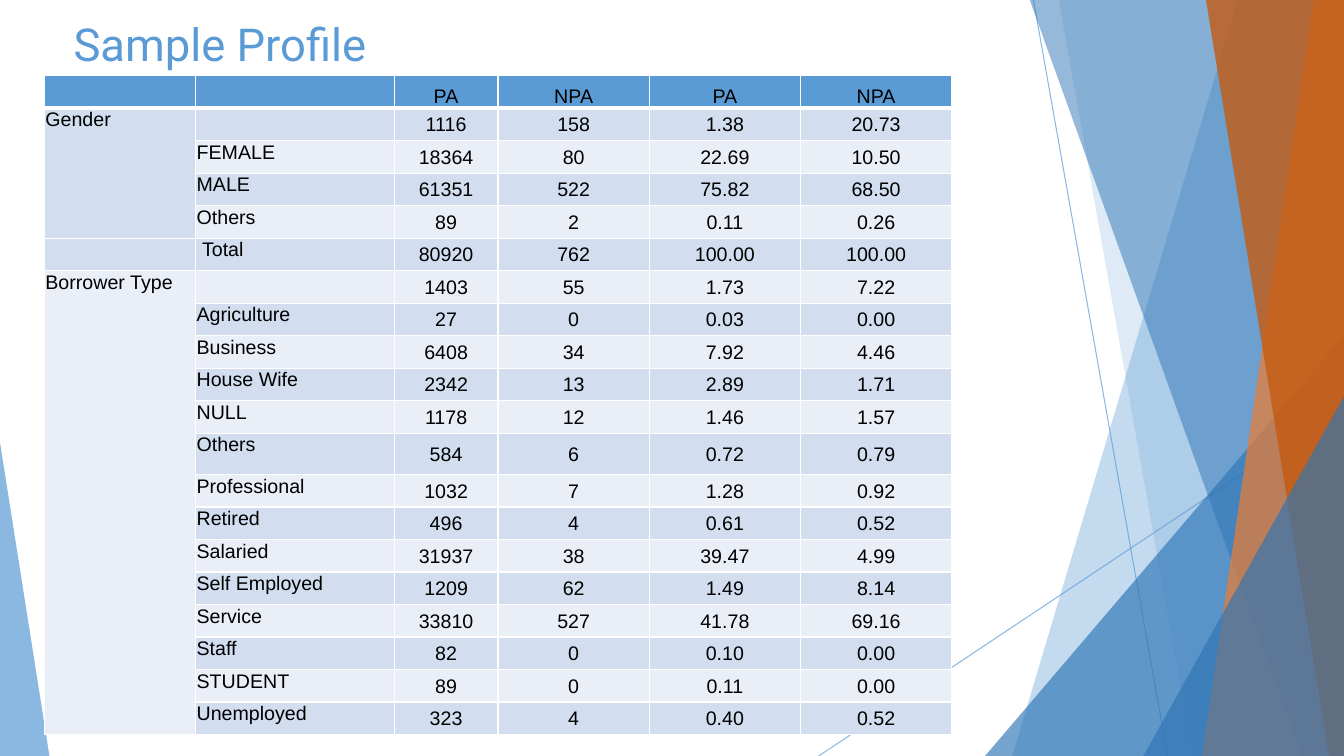
"""Build the Sample Profile slide: a borrower table beside a faceted backdrop."""
from lxml.etree import SubElement
from pptx import Presentation
from pptx.dml.color import RGBColor
from pptx.enum.shapes import MSO_CONNECTOR, MSO_SHAPE
from pptx.enum.text import MSO_ANCHOR, PP_ALIGN
from pptx.oxml.ns import qn
from pptx.util import Inches, Pt

TITLE = "Sample Profile"
HEADER = ("", "PA", "NPA", "PA", "NPA")
GROUPS = [
    ("Gender", [
        ("", "1116", "158", "1.38", "20.73"),
        ("FEMALE", "18364", "80", "22.69", "10.50"),
        ("MALE", "61351", "522", "75.82", "68.50"),
        ("Others", "89", "2", "0.11", "0.26")]),
    ("", [("\u00a0Total", "80920", "762", "100.00", "100.00")]),
    ("Borrower Type", [
        ("", "1403", "55", "1.73", "7.22"),
        ("Agriculture", "27", "0", "0.03", "0.00"),
        ("Business", "6408", "34", "7.92", "4.46"),
        ("House Wife", "2342", "13", "2.89", "1.71"),
        ("NULL", "1178", "12", "1.46", "1.57"),
        ("Others", "584", "6", "0.72", "0.79"),
        ("Professional", "1032", "7", "1.28", "0.92"),
        ("Retired", "496", "4", "0.61", "0.52"),
        ("Salaried", "31937", "38", "39.47", "4.99"),
        ("Self Employed", "1209", "62", "1.49", "8.14"),
        ("Service", "33810", "527", "41.78", "69.16"),
        ("Staff", "82", "0", "0.10", "0.00"),
        ("STUDENT", "89", "0", "0.11", "0.00"),
        ("Unemployed", "323", "4", "0.40", "0.52")]),
]
COLORS = {"blue": "5B9BD5", "deep": "2E75B6", "orange": "ED7D31", "rust": "C55A11",
          "band": "D2DEEF", "pale": "EAEFF7", "white": "FFFFFF", "black": "000000"}

W, H, TOP = 13.33, 7.5, -0.01
LINES = [((10.25, 0), (11.58, H)), ((W, 4.03), (8.12, H))]
FACETS = [
    ("quad", 12.28, 10.04, "blue", 36),
    ("quad", 10.5, 11.83, "blue", 20),
    ("triangle", (9.77, 3.33, 3.56, 4.17), 1, "deep", 66),
    ("quad", 10.21, 12.91, "deep", 50),
    ("quad", 13.03, 11.92, "orange", 70),
    ("quad", 11.96, 13.18, "rust", 80),
    ("triangle", (11.34, 3.93, 1.99, 3.57), 1, "deep", 66),
    ("triangle", (0, 4.39, 0.49, 3.11), 0, "blue", 70),
]
COLS = (1.5, 1.97, 1.03, 1.5, 1.5, 1.5)
TABLE_LEFT, TABLE_TOP, TABLE_H = 0.44, 0.75, 6.54
TALL_ROW, TALL_H = 11, 0.41
MARGINS = {"margin_left": 0.01, "margin_top": 0.01, "margin_right": 0.01, "margin_bottom": 0}


def rgb(name):
    return RGBColor.from_string(COLORS[name])


def fade(sp, alpha):
    for clr in sp.element.spPr.iter(qn("a:srgbClr")):
        SubElement(clr, qn("a:alpha"), val=str(alpha * 1000))


def add_line(s, start, end):
    ln = s.shapes.add_connector(MSO_CONNECTOR.STRAIGHT, *map(Inches, start + end))
    ln.line.color.rgb = rgb("blue")
    ln.line.width = Pt(0.75)
    SubElement(ln.element.spPr, qn("a:effectLst"))
    fade(ln, 70)


def add_facet(s, kind, place, foot, color, alpha):
    if kind == "quad":
        pts = [(Inches(x), Inches(y)) for x, y in
               ((place, TOP), (W, TOP), (W, H), (foot, H))]
        fb = s.shapes.build_freeform(*pts[0])
        fb.add_line_segments(pts[1:], close=True)
        sp = fb.convert_to_shape()
    else:
        sp = s.shapes.add_shape(MSO_SHAPE.ISOSCELES_TRIANGLE, *map(Inches, place))
        sp.adjustments[0] = foot
    sp.shadow.inherit = False
    sp.fill.solid()
    sp.fill.fore_color.rgb = rgb(color)
    sp.line.fill.background()
    fade(sp, alpha)


def write(tf, text, size, font, color, align):
    p = tf.paragraphs[0]
    p.alignment = align
    if not text:
        SubElement(p._p, qn("a:endParaRPr"), sz=str(int(size * 100)))
        return
    r = p.add_run()
    r.text = text
    for key, value in {"size": Pt(size), "name": font, "bold": False}.items():
        setattr(r.font, key, value)
    r.font.color.rgb = rgb(color)


def add_borders(cell, header):
    for side in ("lnL", "lnR", "lnT", "lnB"):
        width = 3 if header and side == "lnB" else 1
        ln = SubElement(cell._tc.get_or_add_tcPr(), qn("a:" + side), w=str(Pt(width)))
        SubElement(SubElement(ln, qn("a:solidFill")), qn("a:srgbClr"), val=COLORS["white"])


def fill_cell(cell, text, row, col):
    for key, value in MARGINS.items():
        setattr(cell, key, Inches(value))
    number = col > 1
    anchor = MSO_ANCHOR.BOTTOM if row == 0 else MSO_ANCHOR.MIDDLE
    cell.vertical_anchor = anchor if number else MSO_ANCHOR.TOP
    write(cell.text_frame, text, 14, "Arial", "black",
          PP_ALIGN.CENTER if number else PP_ALIGN.LEFT)
    add_borders(cell, row == 0)
    cell.fill.solid()
    cell.fill.fore_color.rgb = rgb("blue" if row == 0 else "band" if row % 2 else "pale")


def add_profile(s):
    rows = [("",) + HEADER]
    spans = []
    for name, items in GROUPS:
        spans.append((len(rows), len(rows) + len(items) - 1))
        rows += [(name if i == 0 else "",) + item for i, item in enumerate(items)]
    box = map(Inches, (TABLE_LEFT, TABLE_TOP, sum(COLS), TABLE_H))
    table = s.shapes.add_table(len(rows), len(COLS), *box).table
    for column, width in zip(table.columns, COLS):
        column.width = Inches(width)
    row_h = (TABLE_H - TALL_H) / (len(rows) - 1)
    for i, row in enumerate(rows):
        table.rows[i].height = Inches(TALL_H if i == TALL_ROW else row_h)
        for j, text in enumerate(row):
            fill_cell(table.cell(i, j), text, i, j)
    for first, last in spans:
        if last > first:
            table.cell(first, 0).merge(table.cell(last, 0))


def add_title(s):
    title = s.shapes.title
    place = {"left": 0.63, "top": 0.12, "width": 9.4, "height": 0.63}
    for key, value in place.items():
        setattr(title, key, Inches(value))
    title.text_frame.vertical_anchor = MSO_ANCHOR.MIDDLE
    write(title.text_frame, TITLE, 32.4, "Roboto", "blue", PP_ALIGN.LEFT)
    title.element.getparent().append(title.element)


prs = Presentation()
prs.slide_width, prs.slide_height = Inches(W), Inches(H)
s = prs.slides.add_slide(prs.slide_layouts[5])
for start, end in LINES:
    add_line(s, start, end)
for facet in FACETS:
    add_facet(s, *facet)
add_title(s)
add_profile(s)
prs.save("out.pptx")
